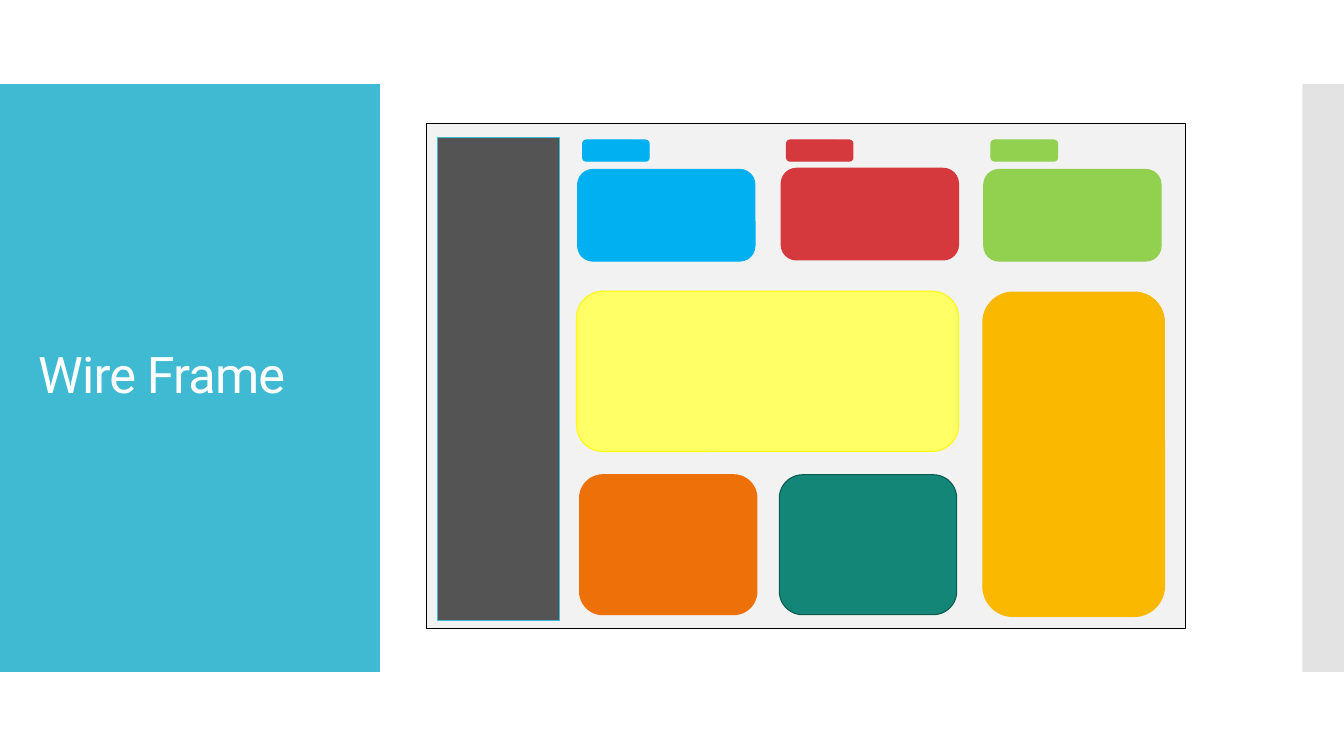
from lxml import etree
from pptx import Presentation
from pptx.dml.color import RGBColor
from pptx.enum import shapes, text
from pptx.oxml.ns import qn
from pptx.util import Pt

KIND = shapes.MSO_SHAPE


def color(code):
    return RGBColor.from_string(code)


class Deck:
    font = "Roboto"

    def __init__(self, wide, high):
        self.show = Presentation()
        self.show.slide_width = Pt(wide)
        self.show.slide_height = Pt(high)
        self.slide = self.show.slides.add_slide(self.show.slide_layouts[6])

    def block(self, box, fill, line=None, width=0.75, kind=KIND.RECTANGLE, alpha=None):
        shape = self.slide.shapes.add_shape(kind, *map(Pt, box))
        shape.shadow.inherit = False
        shape.fill.solid()
        shape.fill.fore_color.rgb = color(fill)
        if alpha:
            tint = shape.fill._xPr.find(".//" + qn("a:srgbClr"))
            etree.SubElement(tint, qn("a:alpha")).set("val", str(alpha * 1000))
        if line:
            shape.line.color.rgb = color(line)
            shape.line.width = Pt(width)
        else:
            shape.line.fill.background()

    def card(self, box, fill, line=None):
        self.block(box, fill, line or fill, kind=KIND.ROUNDED_RECTANGLE)

    def title(self, box, words, size, fill):
        frame = self.slide.shapes.add_textbox(*map(Pt, box)).text_frame
        frame.word_wrap = True
        frame.vertical_anchor = text.MSO_ANCHOR.MIDDLE
        frame.text = words
        para = frame.paragraphs[0]
        para.line_spacing = 0.9
        run = para.runs[0]
        run.font.name = self.font
        run.font.size = Pt(size)
        run.font.color.rgb = color(fill)
        run._r.get_or_add_rPr().set("spc", "-60")


deck = Deck(960, 540)
deck.block((0, 60, 271.3, 420), "40BAD2")
deck.block((930.2, 60, 29.8, 420), "C8C8C8", alpha=50)
deck.title((20.2, 88.6, 231.8, 362.2), "Wire Frame", 36, "FFFFFF")

deck.block((304.6, 88.4, 542.2, 360.7), "F2F2F2", "000000", 0.85, KIND.FLOWCHART_PROCESS)
deck.block((312.5, 98.2, 87.1, 344.9), "545454", "40BAD2")

wide = 126.7
tops = [
    (412.6, 121, 416.2, "00B0F0"),
    (558, 120.2, 561.8, "D5393D"),
    (702.7, 121, 707.9, "92D050"),
]
for left, top, tag, fill in tops:
    deck.card((left, top, wide, 65.5), fill)
    deck.card((tag, 100, 47.5, 15.1), fill)

deck.card((411.8, 208, 273, 114.5), "FFFF66", "FFFF00")
deck.card((414, 339.1, wide, 100), "EE7008")
deck.card((556.7, 339.1, wide, 100), "138677", "0D5A4F")
deck.card((702, 208.6, 129.8, 231.8), "FAB900")

deck.show.save("out.pptx")
